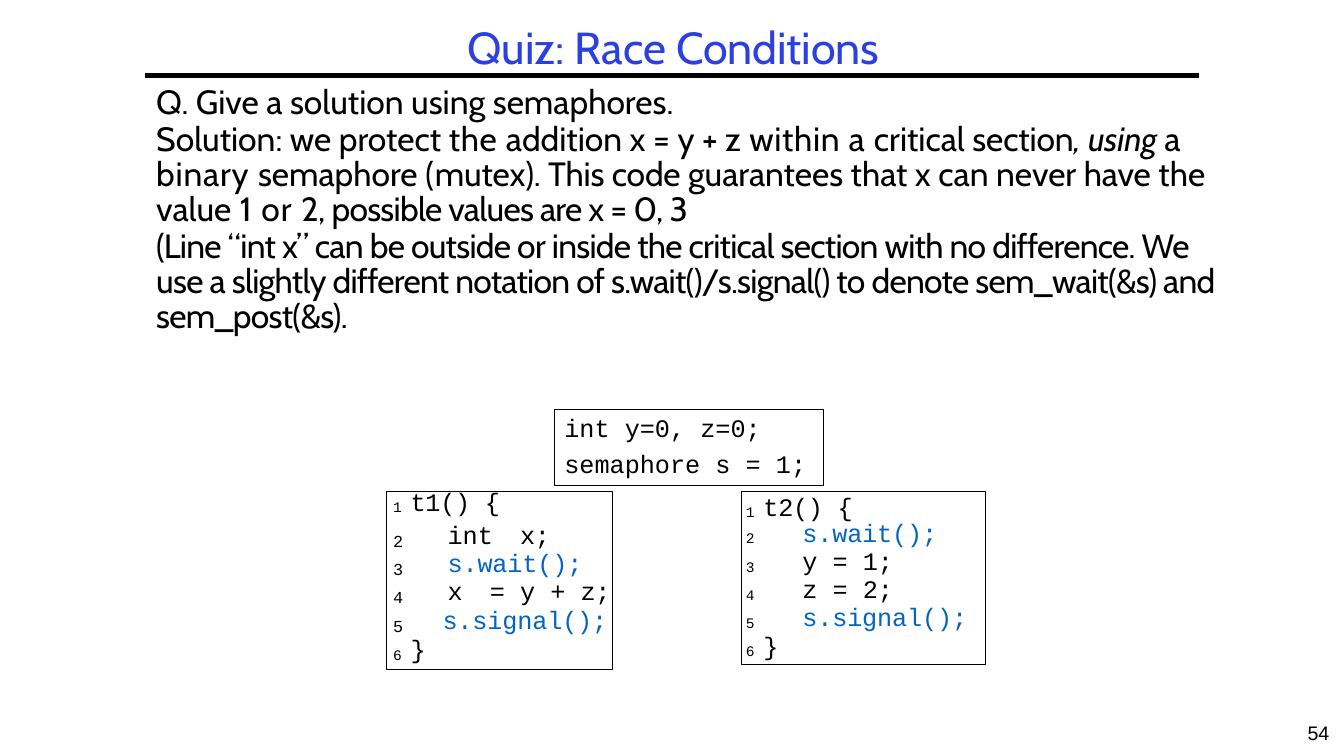
"""Build a quiz slide on solving a race condition with semaphores."""
import pptx
import pptx.dml.color
import pptx.enum.shapes
import pptx.enum.text
import pptx.oxml
import pptx.oxml.ns
import pptx.util

Pt = pptx.util.Pt
ALIGN = pptx.enum.text.PP_ALIGN
ANCHOR = pptx.enum.text.MSO_ANCHOR
COLORS = {"ink": "000000", "title": "2A40E2", "call": "0365C0"}
CODE_FONT = "Courier New"
BODY = [
    [("Q. Give a solution using semaphores", 0), (".", -0.1)],
    [("Solution: we protect ", 0), ("the ", 0.5), ("addition x = y + z", 0),
     (" within a ", 0.5), ("critical ", 0), ("section", -0.1),
     (", using ", -0.1, True), ("a ", 0), ("binary ", 0.6), ("semaphore ", 0),
     ("(", 0.6), ("mutex). This code ", -0.1),
     ("guarantees that x can never have the value", 0), (" 1 or ", 0.7),
     ("2, possible values are x = 0, 3", -0.5)],
    [("(Line “int x” can be outside or inside the critical section with no "
      "difference. We use a slightly different notation of "
      "s.wait()/s.signal() to denote sem_wait(&s) and sem_post(&s).", -0.5)],
]
FIRST_THREAD = [
    (8.6, [("int", "ink", 0), (" ", "ink", 8.6), ("x;", "ink", -0.2)]),
    (8.6, [("s.wait();", "call", -0.1)]),
    (8.6, [("x", "ink", 0), (" ", "ink", 8.6), ("= y + ", "ink", 0), ("z;", "ink", -0.2)]),
    (5, [("s.signal();", "call", -0.1)]),
]
SECOND_THREAD = [
    [("s.wait();", "call", -0.1)],
    [("y = 1;", "ink", 0)],
    [("z = 2;", "ink", 0)],
    [("s.signal();", "call", -0.1)],
]


def make_element(tag, content=""):
    """Return a new drawing element with the given content."""
    namespace = pptx.oxml.ns.nsdecls("a")
    return pptx.oxml.parse_xml(f"<a:{tag} {namespace}>{content}</a:{tag}>")


def add_run(paragraph, text, font, size, color="ink", spacing=0, italic=False, baseline=0):
    """Append one formatted run to a paragraph."""
    run = paragraph.add_run()
    run.text = text
    run.font.name = font
    run.font.size = Pt(size)
    run.font.italic = italic
    run.font.color.rgb = pptx.dml.color.RGBColor.from_string(COLORS[color])
    properties = run._r.get_or_add_rPr()
    if spacing:
        properties.set("spc", str(round(spacing * 100)))
    if baseline:
        properties.set("baseline", str(baseline * 1000))


def set_indent(paragraph, indent, tab=0):
    """Set the left indent and an optional tab stop of a paragraph."""
    properties = paragraph._p.get_or_add_pPr()
    properties.set("marL", str(Pt(indent)))
    if tab:
        properties.append(make_element("buNone"))
        properties.append(make_element("tabLst", f'<a:tab pos="{int(Pt(tab))}" algn="l"/>'))


def set_margins(holder, left=0, top=0, right=0, bottom=0):
    """Set the inner margins of a text frame or table cell."""
    holder.margin_left, holder.margin_top = Pt(left), Pt(top)
    holder.margin_right, holder.margin_bottom = Pt(right), Pt(bottom)


def add_text_box(slide, left, top, width, height, margins, anchor=ANCHOR.TOP):
    """Add a wrapping text box and return its text frame."""
    frame = slide.shapes.add_textbox(Pt(left), Pt(top), Pt(width), Pt(height)).text_frame
    frame.word_wrap = True
    frame.vertical_anchor = anchor
    set_margins(frame, *margins)
    return frame


def add_frame(slide, left, top, width, height):
    """Add an unfilled rectangle with a thin outline."""
    shape = slide.shapes.add_shape(
        pptx.enum.shapes.MSO_SHAPE.RECTANGLE, Pt(left), Pt(top), Pt(width), Pt(height))
    shape.shadow.inherit = False
    shape.fill.background()
    shape.line.color.rgb = pptx.dml.color.RGBColor.from_string(COLORS["ink"])
    shape.line.width = Pt(0.75)
    return shape


def add_rule(slide, left, right, top):
    """Add the thick line beneath the title."""
    rule = slide.shapes.add_connector(
        pptx.enum.shapes.MSO_CONNECTOR.STRAIGHT, Pt(left), Pt(top), Pt(right), Pt(top))
    rule.line.color.rgb = pptx.dml.color.RGBColor.from_string(COLORS["ink"])
    rule.line.width = Pt(3)
    rule._element.spPr.append(make_element("effectLst"))


def add_title(slide):
    """Add the centred title."""
    frame = add_text_box(slide, 103.7, 13, 753.8, 39.6, (0, 0.7), ANCHOR.MIDDLE)
    paragraph = frame.paragraphs[0]
    paragraph.alignment = ALIGN.CENTER
    set_indent(paragraph, 0.7)
    add_run(paragraph, "Quiz: Race ", "Cabin", 32, "title")
    add_run(paragraph, "Conditions", "Cabin", 32, "title", -0.1)


def add_body(slide):
    """Add the question and its solution."""
    frame = add_text_box(slide, 110.9, 59.8, 765.4, 180, (0, 1.4))
    for index, runs in enumerate(BODY):
        paragraph = frame.add_paragraph() if index else frame.paragraphs[0]
        paragraph.line_spacing = Pt(25.1)
        if index:
            paragraph.space_before = Pt(1.4)
        set_indent(paragraph, 0.7)
        for text, *style in runs:
            add_run(paragraph, text, "Cabin", 24, "ink", *style)


def clear_cell(cell):
    """Remove the fill and the borders of a table cell."""
    cell.fill.background()
    properties = cell._tc.get_or_add_tcPr()
    for position, side in enumerate(("lnL", "lnR", "lnT", "lnB")):
        properties.insert(position, make_element(side, "<a:noFill/>"))


def fill_cell(cell, indent, line_height, runs, tab=0, top=0, size=18, number=""):
    """Write one line of code, led by its line number, into a table cell."""
    set_margins(cell, top=top)
    paragraph = cell.text_frame.paragraphs[0]
    if line_height:
        paragraph.line_spacing = Pt(line_height)
    set_indent(paragraph, indent, tab)
    if number:
        spacing = -0.8 if tab else 0
        add_run(paragraph, number, CODE_FONT, size, spacing=spacing, baseline=-7)
    for text, color, spacing in runs:
        add_run(paragraph, text, CODE_FONT, size, color, spacing)


def add_threads(slide):
    """Add the table that holds the code of both threads."""
    table = slide.shapes.add_table(6, 3, Pt(275.8), Pt(351.4), Pt(431.3), Pt(124.8)).table
    table.first_row = table.horz_banding = False
    for column, width in zip(table.columns, (35.3, 217.4, 178.6)):
        column.width = Pt(width)
    for index, row in enumerate(table.rows):
        row.height = Pt(20.2 if index else 23.8)
        for cell in row.cells:
            clear_cell(cell)
    table.cell(0, 0).merge(table.cell(0, 1))
    closing = [("}", "ink", -0.5)]
    fill_cell(table.cell(0, 0), 5, 19.1, [("t1() {", "ink", -0.2)], number="1 ")
    fill_cell(table.cell(0, 2), 4.3, None, [("t2() {", "ink", -0.2)], top=2.2, number="1 ")
    for row, (first, second) in enumerate(zip(FIRST_THREAD, SECOND_THREAD), 1):
        indent, runs = first
        fill_cell(table.cell(row, 0), 5, 13.5, [(str(row + 1), "ink", -0.5)], top=5.8, size=12)
        fill_cell(table.cell(row, 1), indent, 19, runs)
        fill_cell(table.cell(row, 2), 4.3, 17.4, second, 40.3, number=f"{row + 1}\t")
    fill_cell(table.cell(5, 0), 5, 19.7, closing, number="6 ")
    fill_cell(table.cell(5, 1), 0, 17.4, [])
    fill_cell(table.cell(5, 2), 4.3, 17.4, closing, number="6 ")


def add_slide_number(slide):
    """Add the slide number in the corner."""
    frame = add_text_box(slide, 923.8, 511.2, 36, 28.8, (7.2, 3.6, 7.2, 3.6))
    paragraph = frame.paragraphs[0]
    paragraph.alignment = ALIGN.CENTER
    add_run(paragraph, "54", "Arial", 14)


def add_declarations(slide):
    """Add the framed declarations shared by the threads."""
    frame = add_frame(slide, 396, 292.3, 192.2, 54.7).text_frame
    frame.word_wrap = True
    frame.vertical_anchor = ANCHOR.MIDDLE
    set_margins(frame, 7.2, 3.6, 7.2, 3.6)
    for index, line in enumerate(("int y=0, z=0;", "semaphore s = 1;")):
        paragraph = frame.add_paragraph() if index else frame.paragraphs[0]
        paragraph.alignment = ALIGN.LEFT
        paragraph.line_spacing = 0.9
        if index:
            paragraph.space_before = Pt(6.5)
        add_run(paragraph, line, CODE_FONT, 18)


def main():
    """Build and save the presentation."""
    presentation = pptx.Presentation()
    presentation.slide_width, presentation.slide_height = Pt(960), Pt(540)
    slide = presentation.slides.add_slide(presentation.slide_layouts[6])
    add_rule(slide, 103.7, 856.1, 54)
    add_body(slide)
    add_threads(slide)
    add_title(slide)
    add_slide_number(slide)
    add_frame(slide, 275.8, 351.4, 162, 126.7)
    add_frame(slide, 529.9, 351.4, 174.2, 123.1)
    add_declarations(slide)
    presentation.save("out.pptx")


if __name__ == "__main__":
    main()
